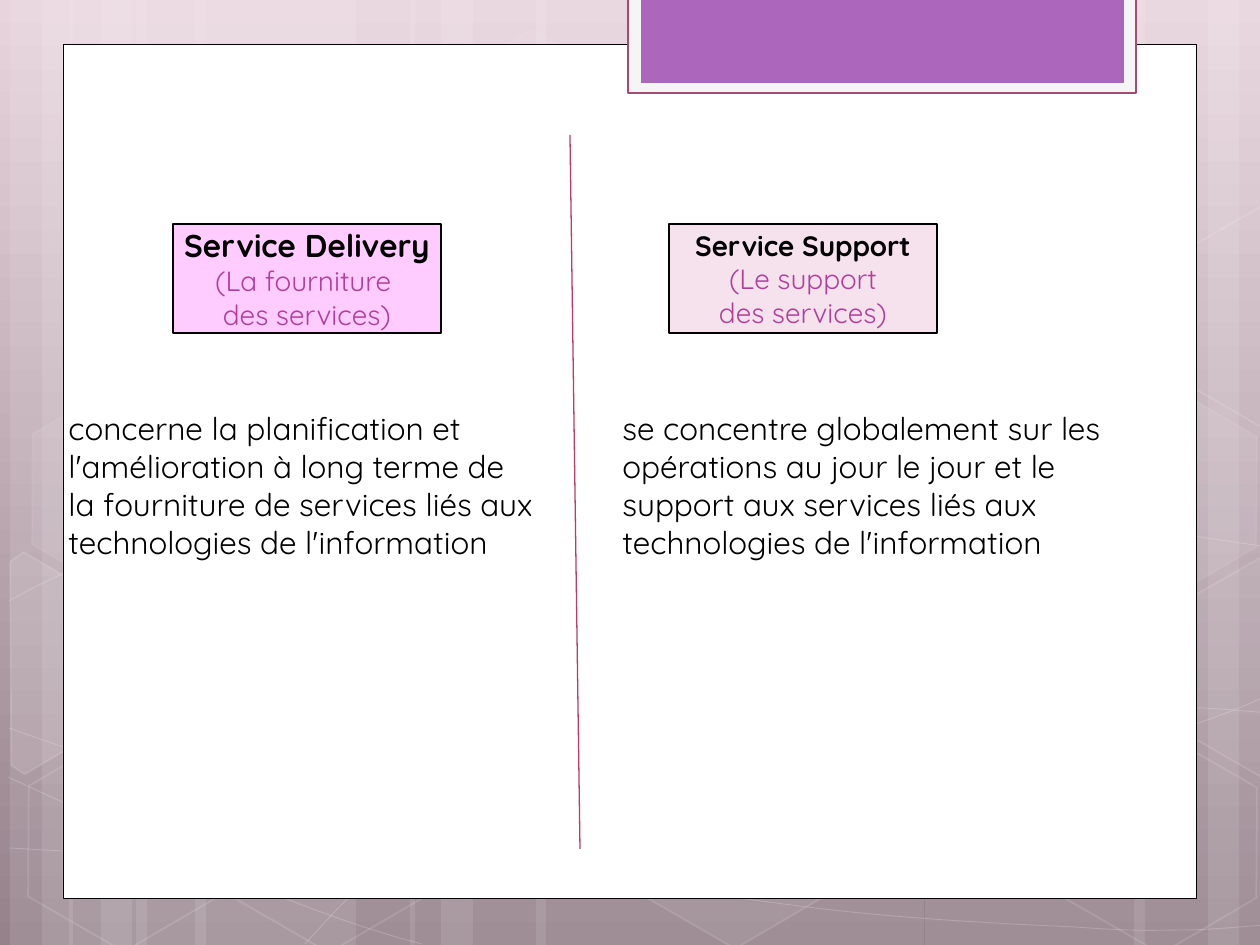
from math import cos, radians, sin

from lxml.etree import SubElement
from pptx import Presentation
from pptx.dml.color import RGBColor
from pptx.enum.shapes import MSO_CONNECTOR, MSO_SHAPE
from pptx.enum.text import MSO_ANCHOR, MSO_AUTO_SIZE, PP_ALIGN
from pptx.oxml.ns import qn
from pptx.util import Pt

EMU_PER_PX = 914400 / 126
WIDTH, HEIGHT = 1260, 945
FONT = "Quicksand"
WHITE, BLACK, PURPLE = "FFFFFF", "000000", "B13F9A"
TILT = 30

# left, width, rotation
BANDS = [(136, 220, 0), (10, 63, 0), (42, 105, 0), (195, 220, 0), (69, 63, 0),
         (101, 105, 0), (925, 220, 180), (1208, 63, 180), (1134, 105, 180),
         (536, 388, 0), (410, 63, 0), (441, 105, 0)]

# start point, then (control, control, end) for each cubic piece
CURVES = [
    [(9, 848), (77, 852), (145, 856), (239, 854), (334, 853), (451, 851), (577, 838),
     (703, 825), (882, 801), (998, 777), (1113, 753), (1231, 716), (1269, 694)],
    [(9, 601), (45, 581), (82, 562), (152, 543), (224, 524), (326, 496), (437, 488),
     (549, 479), (685, 478), (824, 488), (963, 498), (1193, 537), (1269, 547)],
    [(8, 777), (160, 847), (311, 916), (422, 944)],
    [(9, 728), (48, 742), (88, 756), (161, 776), (234, 795), (344, 827), (450, 848),
     (554, 869), (687, 892), (791, 905), (896, 919), (1008, 924), (1075, 927),
     (1142, 932), (1158, 930), (1191, 930), (1223, 929), (1246, 926), (1269, 925)],
    [(305, 944), (328, 919), (350, 893), (381, 871), (411, 847), (454, 823), (489, 805),
     (524, 788), (546, 780), (591, 767), (638, 755), (722, 737), (766, 728),
     (811, 719), (818, 719), (857, 717), (896, 713), (958, 709), (1000, 708),
     (1045, 707), (1116, 708), (1116, 708), (1144, 708), (1173, 708), (1201, 708),
     (1223, 709), (1245, 711), (1256, 712), (1268, 713), (1264, 712), (1268, 713)],
]

# left, top, fill opacity (None for no fill), line opacity
HEXAGONS = [(421, 45, 4, 8), (625, 742, 6, 12), (14, 745, None, 12), (18, 393, 7, 8),
            (219, 746, None, 12), (949, 571, 10, 12), (1051, 747, None, 12),
            (1051, 396, 7, 8)]

# centre, corners as seen on the slide, fill opacity
CUT_HEXAGONS = [
    ((45, 675), [(10, 561), (24, 552), (121, 609), (120, 718), (25, 774), (11, 765)], 10),
    ((1241, 655), [(1167, 611), (1263, 556), (1271, 562), (1271, 772), (1263, 777),
                   (1167, 722)], 4),
    ((1241, 304), [(1167, 261), (1263, 205), (1272, 212), (1271, 422), (1263, 427),
                   (1167, 372)], None),
]


def px(n):
    return round(n * EMU_PER_PX)


def rgb(color):
    return RGBColor.from_string(color)


def set_opacity(fill_parent, percent):
    clr = fill_parent.find(qn("a:solidFill")).find(qn("a:srgbClr"))
    SubElement(clr, qn("a:alpha")).set("val", str(percent * 1000))


def style(s, fill=None, line=None, weight=1, fill_opacity=100, line_opacity=100):
    s.shadow.inherit = False
    if fill:
        s.fill.solid()
        s.fill.fore_color.rgb = rgb(fill)
        if fill_opacity < 100:
            set_opacity(s._element.spPr, fill_opacity)
    else:
        s.fill.background()
    if line:
        s.line.color.rgb = rgb(line)
        s.line.width = Pt(weight)
        if line_opacity < 100:
            set_opacity(s._element.spPr.find(qn("a:ln")), line_opacity)
    else:
        s.line.fill.background()


def add_box(slide, x, y, w, h, kind=MSO_SHAPE.RECTANGLE, **look):
    s = slide.shapes.add_shape(kind, px(x), px(y), px(w), px(h))
    style(s, **look)
    return s


def glass(fill_opacity, line_opacity):
    """Look of a translucent white hexagon."""
    return dict(fill=WHITE if fill_opacity else None, fill_opacity=fill_opacity,
                line=WHITE, line_opacity=line_opacity)


def add_outline(slide, points, closed, **look):
    builder = slide.shapes.build_freeform(*points[0], scale=EMU_PER_PX)
    builder.add_line_segments(points[1:], close=closed)
    s = builder.convert_to_shape()
    style(s, **look)
    return s


def add_curve(slide, knots):
    s = add_outline(slide, knots, False, line=WHITE, weight=0.5, line_opacity=20)
    outline = s._element.spPr.find(".//" + qn("a:path"))
    segments = outline.findall(qn("a:lnTo"))
    for i in range(0, len(segments), 3):
        cubic = SubElement(outline, qn("a:cubicBezTo"))
        for segment in segments[i:i + 3]:
            cubic.append(segment[0])
            outline.remove(segment)


def turned_back(point, centre):
    """The point before its shape is tilted about the centre."""
    dx, dy = point[0] - centre[0], point[1] - centre[1]
    c, n = cos(radians(TILT)), sin(radians(TILT))
    return centre[0] + dx * c + dy * n, centre[1] - dx * n + dy * c


def add_background(slide):
    fill = slide.background.fill
    fill.gradient()
    fill.gradient_angle = 270
    for stop, position, color in zip(fill.gradient_stops, (0, 1), ("E8D4DD", "95828B")):
        stop.position = position
        stop.color.rgb = rgb(color)
    for x, w, rotation in BANDS:
        s = add_box(slide, x, 0, w, HEIGHT, fill=WHITE, fill_opacity=10)
        s.rotation = rotation
    for knots in CURVES:
        add_curve(slide, knots)
    for x, y, fill_opacity, line_opacity in HEXAGONS:
        s = add_box(slide, x, y, 220, 192, MSO_SHAPE.HEXAGON,
                    **glass(fill_opacity, line_opacity))
        s.adjustments[0] = 0.285
        s.rotation = TILT
    for centre, corners, fill_opacity in CUT_HEXAGONS:
        points = [turned_back(corner, centre) for corner in corners]
        s = add_outline(slide, points, True, **glass(fill_opacity, 12))
        s.rotation = TILT


def write(tf, lines, align):
    """Fill a text frame with (text, size, colour, bold) lines."""
    for i, (text, size, color, bold) in enumerate(lines):
        p = tf.add_paragraph() if i else tf.paragraphs[0]
        p.text = text
        p.alignment = align
        p.font.name = FONT
        p.font.size = Pt(size)
        p.font.bold = bold
        p.font.color.rgb = rgb(color)


def add_heading(slide, x, fill, title, size, subtitle):
    s = add_box(slide, x, 224, 268, 109, fill=fill, line=BLACK, weight=0.7)
    tf = s.text_frame
    tf.word_wrap = False
    tf.vertical_anchor = MSO_ANCHOR.MIDDLE
    lines = [(title, size, BLACK, True)]
    lines += [(text, 16, PURPLE, False) for text in subtitle]
    write(tf, lines, PP_ALIGN.CENTER)


def add_description(slide, x, w, texts):
    tf = slide.shapes.add_textbox(px(x), px(403), px(w), px(164)).text_frame
    tf.word_wrap = True
    tf.auto_size = MSO_AUTO_SIZE.SHAPE_TO_FIT_TEXT
    write(tf, [(text, 18, BLACK, False) for text in texts], PP_ALIGN.LEFT)


def add_divider(slide, x1, y1, x2, y2):
    s = slide.shapes.add_connector(MSO_CONNECTOR.STRAIGHT, px(x1), px(y1), px(x2), px(y2))
    s.line.color.rgb = rgb("B83D68")
    s.line.width = Pt(0.75)
    SubElement(s._element.spPr, qn("a:effectLst"))


def main():
    prs = Presentation()
    prs.slide_width, prs.slide_height = px(WIDTH), px(HEIGHT)
    slide = prs.slides.add_slide(prs.slide_layouts[6])

    add_background(slide)
    add_box(slide, 63, 45, 1134, 854, fill=WHITE, line=BLACK, weight=0.5)
    add_box(slide, 628, -2, 508, 95, fill="F5F5F5", line="A34B73", weight=1.25)
    add_box(slide, 641, -2, 483, 85, fill="AC66BB")

    add_heading(slide, 173, "FFCCFF", "Service Delivery", 18,
                ["(La fourniture ", "des services)"])
    add_description(slide, 56, 543, [
        "concerne la planification et l'amélioration à long terme de",
        "la fourniture de services liés aux technologies de l'information"])
    add_description(slide, 610, 566, [
        "se concentre globalement sur les opérations au jour le jour et le",
        "support aux services liés aux technologies de l'information"])
    add_divider(slide, 570, 135, 580, 849)
    add_heading(slide, 669, "F5E2ED", "Service Support", 16,
                ["(Le support", "des services)"])
    prs.save("out.pptx")


if __name__ == "__main__":
    main()
